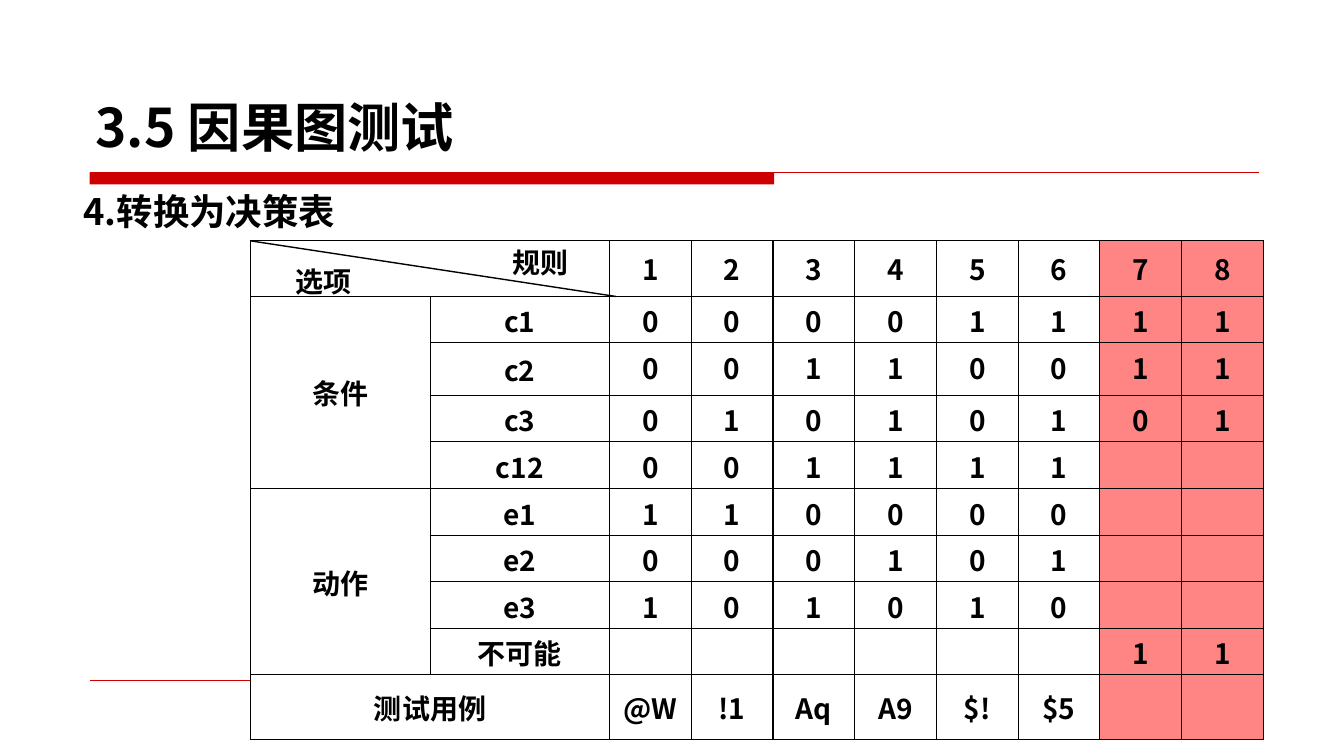
from lxml import etree
from pptx import Presentation
from pptx.dml.color import RGBColor
from pptx.enum.shapes import MSO_CONNECTOR, MSO_SHAPE
from pptx.enum.text import MSO_ANCHOR, PP_ALIGN
from pptx.oxml.ns import qn
from pptx.util import Cm, Pt

FONT = "Noto Sans CJK SC"
BLACK = RGBColor(0x00, 0x00, 0x00)
WHITE = RGBColor(0xFF, 0xFF, 0xFF)
RED = RGBColor(0xCC, 0x00, 0x00)
PINK = RGBColor(0xFF, 0x85, 0x85)

# Content: one row per option, one value per rule
TITLE = "3.5 因果图测试"
HEADING = "4.转换为决策表"
CORNER_LABELS = [("规则", 12.34, 6.07, 2.57), ("选项", 6.73, 6.53, 2.84)]
RULES = ["1", "2", "3", "4", "5", "6", "7", "8"]
GROUPS = [
    ("条件", [
        ("c1", "0 0 0 0 1 1 1 1"),
        ("c2", "0 0 1 1 0 0 1 1"),
        ("c3", "0 1 0 1 0 1 0 1"),
        ("c12", "0 0 1 1 1 1"),
    ]),
    ("动作", [
        ("e1", "1 1 0 0 0 0"),
        ("e2", "0 0 0 1 0 1"),
        ("e3", "1 0 1 0 1 0"),
        ("不可能", ", , , , , , 1 1"),
    ]),
]
TEST_CASES = ("测试用例", ["@W", "!1", "Aq", "A9", "$!", "$5"])
IMPOSSIBLE_RULES = {"7", "8"}

# Table measures in cm
TABLE_LEFT, TABLE_TOP = 6.32, 6.07
LABEL_WIDTH, RULE_WIDTH = 4.52, 2.06
ROW_HEIGHTS = [1.4, 1.17, 1.32, 1.17, 1.19, 1.17, 1.17, 1.17, 1.17, 1.63]

prs = Presentation()
prs.slide_width, prs.slide_height = Cm(33.87), Cm(19.05)
slide = prs.slides.add_slide(prs.slide_layouts[6])


def add_run(paragraph, text, size):
    run = paragraph.add_run()
    run.text = text
    run.font.size = Pt(size)
    run.font.bold = True
    run.font.name = FONT
    run.font.color.rgb = BLACK
    east_asian = etree.SubElement(run.font._element, qn("a:ea"))
    east_asian.set("typeface", FONT)


def add_text(text, left, top, width, height, size,
             align=PP_ALIGN.LEFT, anchor=MSO_ANCHOR.TOP, spacing=1.0):
    frame = slide.shapes.add_textbox(
        Cm(left), Cm(top), Cm(width), Cm(height)).text_frame
    frame.word_wrap = True
    frame.vertical_anchor = anchor
    paragraph = frame.paragraphs[0]
    paragraph.alignment = align
    paragraph.line_spacing = spacing
    add_run(paragraph, text, size)


def add_line(x1, y1, x2, y2, color, weight):
    line = slide.shapes.add_connector(
        MSO_CONNECTOR.STRAIGHT, Cm(x1), Cm(y1), Cm(x2), Cm(y2))
    line.line.color.rgb = color
    line.line.width = Pt(weight)
    etree.SubElement(line._element.spPr, qn("a:effectLst"))


def add_borders(cell):
    properties = cell._tc.get_or_add_tcPr()
    for position, side in enumerate(("a:lnL", "a:lnR", "a:lnT", "a:lnB")):
        border = etree.Element(qn(side), w=str(Pt(1)))
        fill = etree.SubElement(border, qn("a:solidFill"))
        etree.SubElement(fill, qn("a:srgbClr"), val=str(BLACK))
        properties.insert(position, border)


def fill_cell(cell, text, anchor):
    cell.vertical_anchor = anchor
    paragraph = cell.text_frame.paragraphs[0]
    paragraph.alignment = PP_ALIGN.CENTER
    if text:
        add_run(paragraph, text, 20)


# Red bar and rules of the page
title_bar = slide.shapes.add_shape(
    MSO_SHAPE.RECTANGLE, Cm(2.26), Cm(4.35), Cm(17.25), Cm(0.3))
title_bar.shadow.inherit = False
title_bar.fill.solid()
title_bar.fill.fore_color.rgb = RED
title_bar.line.fill.background()
add_line(2.26, 4.35, 31.73, 4.35, RED, 0.75)
add_line(2.26, 17.15, 31.62, 17.15, RED, 0.25)

# Heading
add_text(HEADING, 1.85, 4.32, 30, 14.05, 26,
         align=PP_ALIGN.JUSTIFY, spacing=1.3)

# Decision table: blank grid
column_widths = [LABEL_WIDTH] * 2 + [RULE_WIDTH] * len(RULES)
decisions = slide.shapes.add_table(
    len(ROW_HEIGHTS), len(column_widths), Cm(TABLE_LEFT), Cm(TABLE_TOP),
    Cm(sum(column_widths)), Cm(sum(ROW_HEIGHTS))).table
decisions.first_row = decisions.horz_banding = False
for column, width in zip(decisions.columns, column_widths):
    column.width = Cm(width)
for row, height in zip(decisions.rows, ROW_HEIGHTS):
    row.height = Cm(height)
    for index, cell in enumerate(row.cells):
        impossible = index > 1 and RULES[index - 2] in IMPOSSIBLE_RULES
        cell.fill.solid()
        cell.fill.fore_color.rgb = PINK if impossible else WHITE
        cell.margin_left = cell.margin_right = Cm(0.13)
        cell.margin_top = cell.margin_bottom = Cm(0.1)
        add_borders(cell)


def fill_rules(row, values, anchor):
    for column, value in enumerate(values, start=2):
        fill_cell(decisions.cell(row, column), value, anchor)


# Decision table: header, option groups, test cases
last_row = len(ROW_HEIGHTS) - 1
for row in (0, last_row):
    decisions.cell(row, 0).merge(decisions.cell(row, 1))
fill_rules(0, RULES, MSO_ANCHOR.MIDDLE)

row = 1
for group, options in GROUPS:
    group_cell = decisions.cell(row, 0)
    group_cell.merge(decisions.cell(row + len(options) - 1, 0))
    fill_cell(group_cell, group, MSO_ANCHOR.MIDDLE)
    for option, values in options:
        fill_cell(decisions.cell(row, 1), option, MSO_ANCHOR.MIDDLE)
        fill_rules(row, [value.strip(",") for value in values.split()],
                   MSO_ANCHOR.TOP)
        row += 1

fill_cell(decisions.cell(last_row, 0), TEST_CASES[0], MSO_ANCHOR.MIDDLE)
fill_rules(last_row, TEST_CASES[1], MSO_ANCHOR.MIDDLE)

# Divided corner cell
add_line(TABLE_LEFT, TABLE_TOP, 15.52, TABLE_TOP + ROW_HEIGHTS[0], BLACK, 1)
for label, left, top, width in CORNER_LABELS:
    add_text(label, left, top, width, 1.11, 20, align=PP_ALIGN.CENTER)

# Title
add_text(TITLE, 2.16, 0.74, 22.23, 3.38, 38, anchor=MSO_ANCHOR.BOTTOM)

prs.save("out.pptx")
